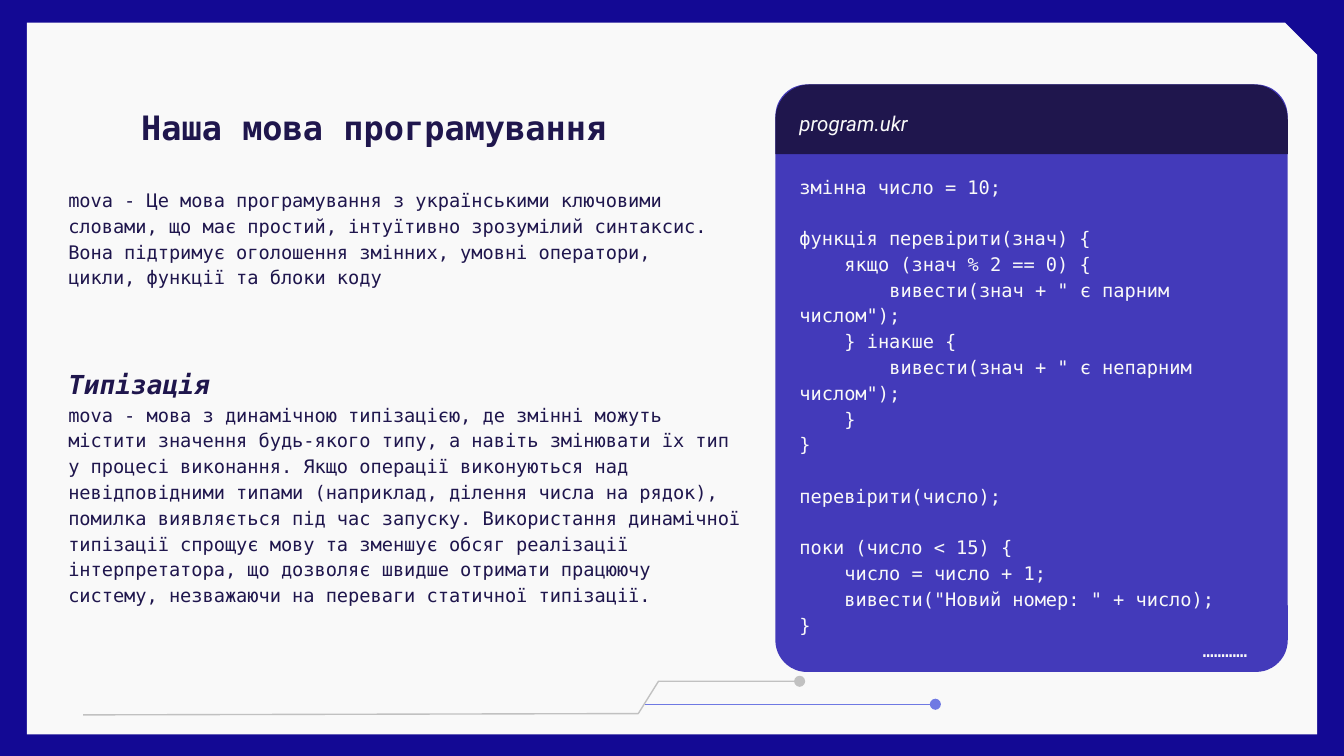
from lxml import etree
from pptx import Presentation
from pptx.dml.color import RGBColor
from pptx.enum import shapes, text
from pptx.oxml import ns
from pptx.util import Pt

COLORS = {
    "border": "130994",
    "paper": "F9F9F9",
    "ink": "1F164D",
    "code": "433ABA",
    "trace_blue": "6F79E3",
    "trace_gray": "C1C1C1",
}
MONO = "DejaVu Sans Mono"
SANS = "Roboto"
INSET = 7.2
LINE_HEIGHT = 13.8
CODE_INDENT = 24.1

HEADING = "Наша мова програмування"
INTRO = (
    "mova - Це мова програмування з українськими ключовими словами, що має простий, "
    "інтуїтивно зрозумілий синтаксис. Вона підтримує оголошення змінних, умовні оператори, "
    "цикли, функції та блоки коду"
)
TYPING_HEADING = "Типізація"
TYPING = (
    "mova - мова з динамічною типізацією, де змінні можуть містити значення будь-якого типу, "
    "а навіть змінювати їх тип у процесі виконання. Якщо операції виконуються над "
    "невідповідними типами (наприклад, ділення числа на рядок), помилка виявляється під час "
    "запуску. Використання динамічної типізації спрощує мову та зменшує обсяг реалізації "
    "інтерпретатора, що дозволяє швидше отримати працюючу систему, незважаючи на переваги "
    "статичної типізації."
)
FILE_NAME = "program.ukr"
CODE_BLOCKS = [
    [(0, "змінна число = 10;")],
    [
        (0, "функція перевірити(знач) {"),
        (1, "якщо (знач % 2 == 0) {"),
        (2, 'вивести(знач + " є парним числом");'),
        (1, "} інакше {"),
        (2, 'вивести(знач + " є непарним числом");'),
        (1, "}"),
        (0, "}"),
    ],
    [(0, "перевірити(число);")],
    [
        (0, "поки (число < 15) {"),
        (1, "число = число + 1;"),
        (1, 'вивести("Новий номер: " + число);'),
        (0, "}"),
    ],
]
ELLIPSIS = "…………"

PANELS = [
    (shapes.MSO_SHAPE.SNIP_1_RECTANGLE, (14.4, 12.2, 691.2, 381.2), [0.045], "paper"),
    (shapes.MSO_SHAPE.ROUNDED_RECTANGLE, (415.4, 45.2, 274.5, 314.8), [0.062], "code"),
    (shapes.MSO_SHAPE.ROUND_2_SAME_RECTANGLE, (415.4, 45.2, 274.5, 37.4), [0.5, 0], "ink"),
]
BLUE_TRACE = [(501.1, 377.3), (345.6, 377.3)]
GRAY_TRACE = [(44.6, 383), (342, 382.3), (352.8, 365), (428.4, 365)]


def rgb(name):
    return RGBColor.from_string(COLORS[name])


def place(shape, box):
    shape.left, shape.top, shape.width, shape.height = map(Pt, box)


def prepare_frame(shape, anchor=text.MSO_ANCHOR.TOP):
    frame = shape.text_frame
    frame.word_wrap = True
    frame.auto_size = text.MSO_AUTO_SIZE.NONE
    frame.vertical_anchor = anchor
    frame.margin_left = frame.margin_right = Pt(INSET)
    frame.margin_top = frame.margin_bottom = Pt(INSET)
    return frame


def add_frame(slide, box, anchor=text.MSO_ANCHOR.TOP):
    return prepare_frame(slide.shapes.add_textbox(*map(Pt, box)), anchor)


def write(frame, content, size=10, font=MONO, color="ink", bold=False, italic=False,
          margin=0, indent=0, before=0):
    first = frame.paragraphs[0]
    paragraph = frame.add_paragraph() if first.runs else first
    paragraph.alignment = text.PP_ALIGN.LEFT
    paragraph.line_spacing = 1.15
    paragraph.space_before = Pt(before)
    properties = paragraph._p.get_or_add_pPr()
    properties.set("marL", str(Pt(margin)))
    properties.set("indent", str(Pt(indent)))
    run = paragraph.add_run()
    run.text = content
    run.font.name = font
    run.font.size = Pt(size)
    run.font.bold = bold
    run.font.italic = italic
    run.font.color.rgb = rgb(color)


def add_panel(slide, kind, box, adjustments, color):
    shape = slide.shapes.add_shape(kind, *map(Pt, box))
    shape.shadow.inherit = False
    for index, value in enumerate(adjustments):
        shape.adjustments[index] = value
    shape.fill.solid()
    shape.fill.fore_color.rgb = rgb(color)
    shape.line.fill.background()


def style_trace(shape, color, dotted_end):
    shape.line.color.rgb = rgb(color)
    shape.line.width = Pt(0.75)
    line = shape.line._get_or_add_ln()
    etree.SubElement(line, ns.qn(f"a:{dotted_end}"), type="oval")


def add_traces(slide):
    start, end = BLUE_TRACE
    connector = slide.shapes.add_connector(
        shapes.MSO_CONNECTOR.STRAIGHT, *map(Pt, start + end))
    style_trace(connector, "trace_blue", "headEnd")
    etree.SubElement(connector._element.spPr, ns.qn("a:effectLst"))

    points = [(Pt(x), Pt(y)) for x, y in GRAY_TRACE]
    builder = slide.shapes.build_freeform(*points[0])
    builder.add_line_segments(points[1:], close=False)
    outline = builder.convert_to_shape()
    outline.fill.background()
    style_trace(outline, "trace_gray", "tailEnd")
    outline.shadow.inherit = False


def add_code(slide):
    frame = add_frame(slide, (421.2, 85, 257.8, 272.2))
    for block_index, block in enumerate(CODE_BLOCKS):
        for line_index, (level, content) in enumerate(block):
            starts_block = block_index > 0 and line_index == 0
            write(frame, content, color="paper", indent=level * CODE_INDENT,
                  before=LINE_HEIGHT if starts_block else 0)
    write(frame, ELLIPSIS, color="paper", margin=216)


def main():
    presentation = Presentation()
    presentation.slide_width, presentation.slide_height = Pt(720), Pt(405)
    slide = presentation.slides.add_slide(presentation.slide_layouts[5])
    slide.background.fill.solid()
    slide.background.fill.fore_color.rgb = rgb("border")

    frame_panel, *code_panels = PANELS
    add_panel(slide, *frame_panel)
    add_traces(slide)
    for panel in code_panels:
        add_panel(slide, *panel)

    title = slide.shapes.title
    place(title, (68.4, 46.8, 274.3, 45.4))
    write(prepare_frame(title), HEADING, size=18, bold=True)
    slide.shapes._spTree.append(title._element)

    write(add_frame(slide, (18.7, 92.2, 374.4, 64.8)), INTRO, margin=10.8)
    typing_frame = add_frame(slide, (29.5, 187.9, 374.4, 197.3))
    write(typing_frame, TYPING_HEADING, size=14, bold=True, italic=True)
    write(typing_frame, TYPING)

    add_code(slide)
    name_frame = add_frame(slide, (421.2, 54.7, 257.8, 20.2), text.MSO_ANCHOR.MIDDLE)
    write(name_frame, FILE_NAME, size=11, font=SANS, color="paper", italic=True)

    presentation.save("out.pptx")


if __name__ == "__main__":
    main()
